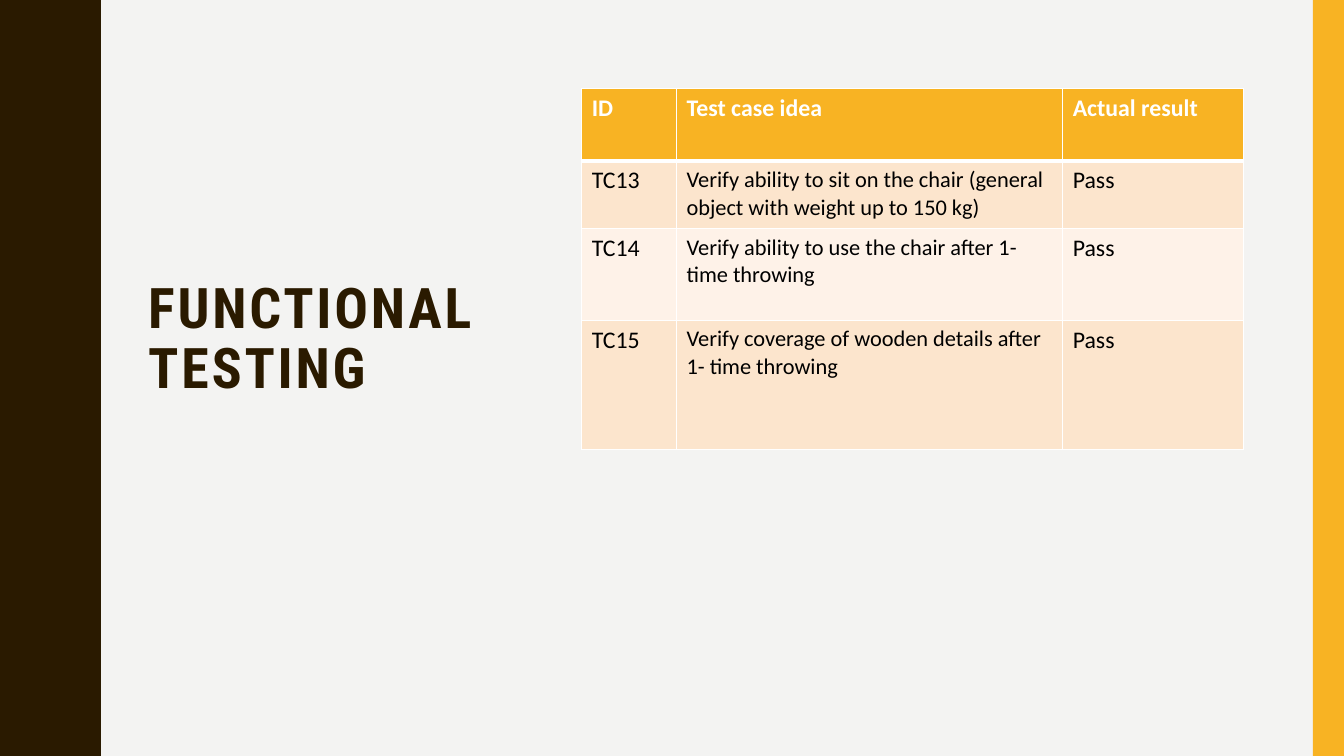
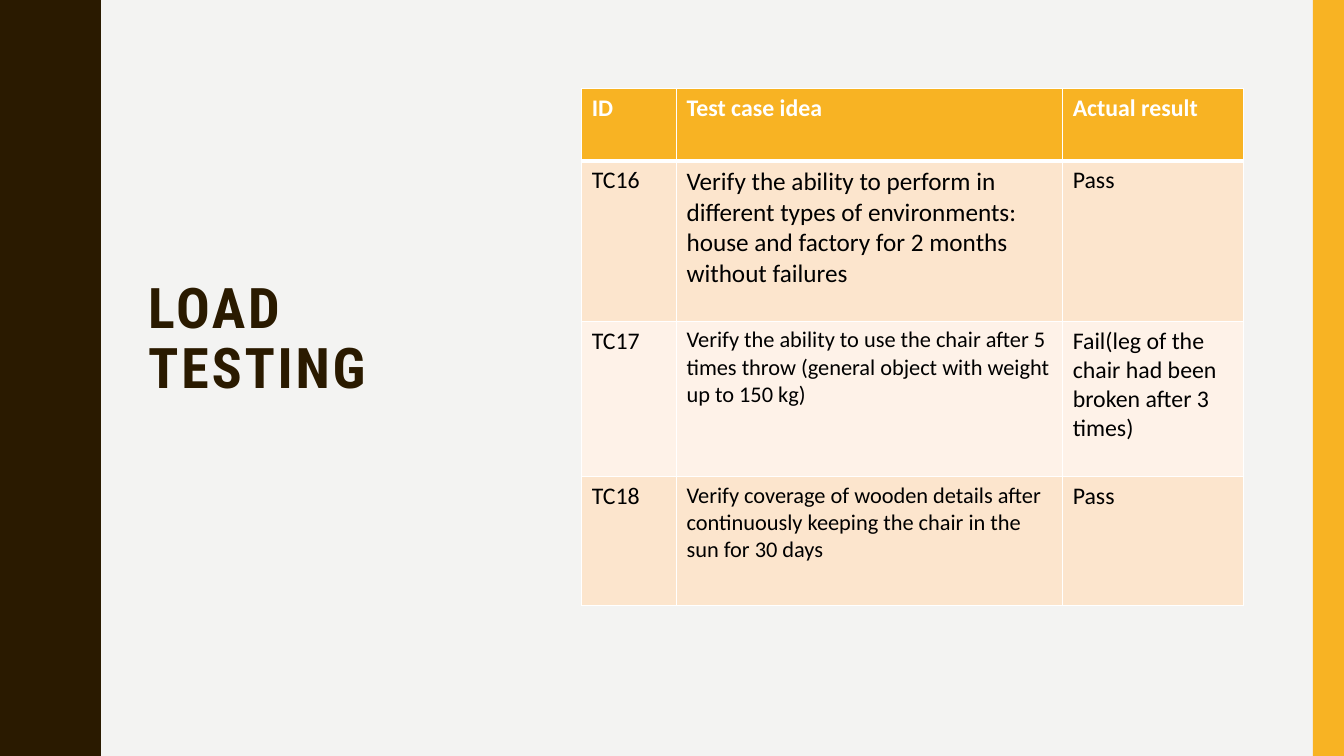
"""Build two test-report slides with a shared wave edge, accent band and result table."""
import itertools

import lxml.etree
import pptx
import pptx.dml.color
import pptx.enum.shapes
import pptx.enum.text
import pptx.oxml.ns
import pptx.util

COLORS = {
    "paper": "F3F3F2", "dark": "2A1A00", "accent": "F8B323",
    "odd": "FCE5CD", "even": "FEF2E8", "white": "FFFFFF", "black": "000000",
}
FONTS = {"title": "Roboto Condensed", "body": "Calibri"}
WIDTH, HEIGHT = 13.33, 7.5
BAND_WIDTH = 0.31
TITLE_BOX = (1.37, 0.71, 3.7, 5.93)
TITLE_LIFT = 0.65
TABLE_LEFT, TABLE_TOP = 5.77, 0.88
COLUMNS = (0.94, 3.83, 1.79)
HEADER = ("ID", "Test case idea", "Actual result")
BODY_SIZE, IDEA_SIZE, LARGE_IDEA_SIZE = 17, 16, 18

WAVE_COUNT = 5
WAVE_LENGTH = HEIGHT / WAVE_COUNT
HALF_WAVE = (
    (0.78, 0), (0.78, 0.07), (0.79, 0.14), (0.8, 0.2), (0.81, 0.25),
    (0.83, 0.29), (0.85, 0.33), (0.87, 0.38), (0.89, 0.42), (0.91, 0.46),
    (0.93, 0.5), (0.95, 0.55), (0.96, 0.61), (0.97, 0.68), (0.97, 0.75),
)

SLIDES = (
    {
        "title": "FUNCTIONAL TESTING",
        "heights": (0.72, 0.67, 0.91, 1.28),
        "cases": (
            ("TC13", "Verify ability to sit on the chair (general object with weight up to 150 kg)", "Pass"),
            ("TC14", "Verify ability to use the chair after 1-time throwing", "Pass"),
            ("TC15", "Verify coverage of wooden details after 1- time throwing", "Pass"),
        ),
        "large": (),
    },
    {
        "title": "LOAD TESTING",
        "heights": (0.72, 1.59, 1.54, 1.28),
        "cases": (
            ("TC16", "Verify the ability to perform in different types of environments: "
                     "house and factory for 2 months without failures", "Pass"),
            ("TC17", "Verify the ability to use the chair after 5 times throw "
                     "(general object with weight up to 150 kg)",
             "Fail(leg of the chair had been broken after 3 times)"),
            ("TC18", "Verify coverage of wooden details after continuously keeping "
                     "the chair in the sun for 30 days", "Pass"),
        ),
        "large": ("TC16",),
    },
)


def inches(*lengths):
    return [pptx.util.Inches(length) for length in lengths]


def paint(fill, color):
    fill.solid()
    fill.fore_color.rgb = pptx.dml.color.RGBColor.from_string(COLORS[color])


def write(frame, text, font="body", size=BODY_SIZE, color="black", bold=False,
          line_spacing=None, tracking=None):
    para = frame.paragraphs[0]
    para.line_spacing = line_spacing
    span = para.add_run()
    span.text = text
    span.font.name = FONTS[font]
    span.font.size = pptx.util.Pt(size)
    span.font.bold = bold
    span.font.color.rgb = pptx.dml.color.RGBColor.from_string(COLORS[color])
    if tracking:
        span.font._element.set("spc", str(tracking * 100))


def finish(shape, color):
    shape.shadow.inherit = False
    paint(shape.fill, color)
    shape.line.fill.background()


def add_edges(page):
    crest = [(x, WAVE_LENGTH - y) for x, y in reversed(HALF_WAVE[:-1])]
    wave = HALF_WAVE + tuple(crest)
    points = [(x, y + WAVE_LENGTH * turn)
              for turn, (x, y) in itertools.product(range(WAVE_COUNT), wave)]
    builder = page.shapes.build_freeform(0, 0, scale=pptx.util.Inches(1))
    builder.add_line_segments(points + [(0, HEIGHT)], close=True)
    finish(builder.convert_to_shape(), "dark")
    band = page.shapes.add_shape(
        pptx.enum.shapes.MSO_SHAPE.RECTANGLE,
        *inches(WIDTH - BAND_WIDTH, 0, BAND_WIDTH, HEIGHT))
    finish(band, "accent")


def add_title(page, text):
    title = page.shapes.title
    title.left, title.top, title.width, title.height = inches(*TITLE_BOX)
    frame = title.text_frame
    frame.word_wrap = True
    frame.auto_size = pptx.enum.text.MSO_AUTO_SIZE.NONE
    frame.vertical_anchor = pptx.enum.text.MSO_ANCHOR.MIDDLE
    frame.margin_bottom = pptx.util.Inches(TITLE_LIFT)
    write(frame, text, font="title", size=40, color="dark", bold=True,
          line_spacing=0.9, tracking=2)
    frame.paragraphs[0].alignment = pptx.enum.text.PP_ALIGN.LEFT


def add_borders(cell, top, bottom):
    properties = cell._tc.get_or_add_tcPr()
    qn = pptx.oxml.ns.qn
    for side, points in (("L", 1), ("R", 1), ("T", top), ("B", bottom)):
        line = lxml.etree.SubElement(
            properties, qn(f"a:ln{side}"), w=str(pptx.util.Pt(points)))
        fill = lxml.etree.SubElement(line, qn("a:solidFill"))
        lxml.etree.SubElement(fill, qn("a:srgbClr"), val=COLORS["white"])


def add_results(page, cases, heights, large):
    rows = (HEADER,) + cases
    table = page.shapes.add_table(
        len(rows), len(COLUMNS),
        *inches(TABLE_LEFT, TABLE_TOP, sum(COLUMNS), sum(heights))).table
    for column, width in zip(table.columns, COLUMNS):
        column.width = pptx.util.Inches(width)
    for row, height in zip(table.rows, heights):
        row.height = pptx.util.Inches(height)
    for row_index, texts in enumerate(rows):
        is_header = row_index == 0
        fill = "accent" if is_header else ("even", "odd")[row_index % 2]
        idea_size = LARGE_IDEA_SIZE if texts[0] in large else IDEA_SIZE
        for column_index, text in enumerate(texts):
            cell = table.cell(row_index, column_index)
            add_borders(cell, top=3 if row_index == 1 else 1, bottom=3 if is_header else 1)
            paint(cell.fill, fill)
            is_idea = column_index == 1 and not is_header
            write(cell.text_frame, text, size=idea_size if is_idea else BODY_SIZE,
                  color="white" if is_header else "black", bold=is_header)


def main():
    deck = pptx.Presentation()
    deck.slide_width, deck.slide_height = inches(WIDTH, HEIGHT)
    paint(deck.slide_master.background.fill, "paper")
    title_only = deck.slide_layouts.get_by_name("Title Only")
    for content in SLIDES:
        page = deck.slides.add_slide(title_only)
        add_edges(page)
        add_title(page, content["title"])
        add_results(page, content["cases"], content["heights"], content["large"])
    deck.save("out.pptx")


if __name__ == "__main__":
    main()
